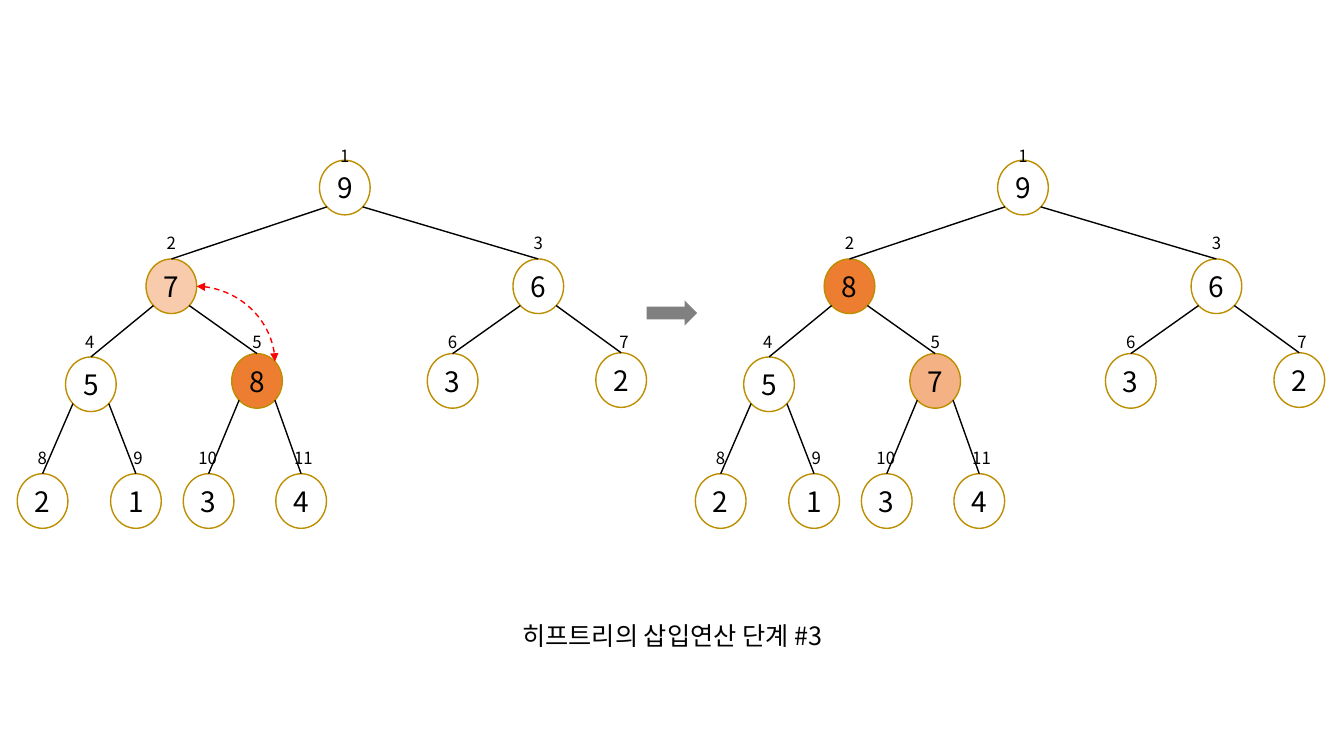
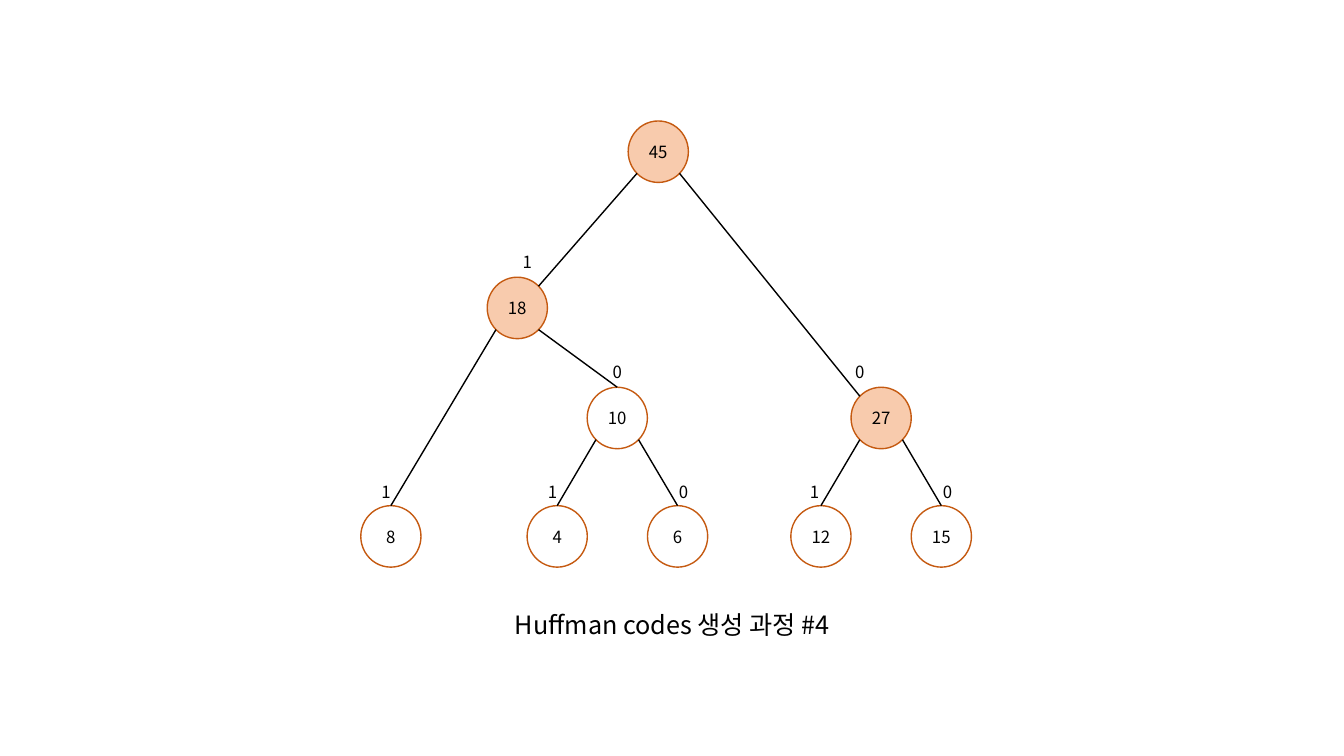
"""Build two slides showing heap insertion and Huffman code trees."""
import math

from lxml import etree
from pptx import Presentation
from pptx.dml.color import RGBColor
from pptx.enum import dml, shapes, text
from pptx.oxml import ns
from pptx.util import Pt

FONT = "Noto Sans CJK KR"
BLACK = RGBColor(0x00, 0x00, 0x00)
WHITE = RGBColor(0xFF, 0xFF, 0xFF)
GRAY = RGBColor(0x80, 0x80, 0x80)
RED = RGBColor(0xFF, 0x00, 0x00)
GOLD = RGBColor(0xBD, 0x8E, 0x00)
BROWN = RGBColor(0xC5, 0x5A, 0x11)
PEACH = RGBColor(0xF8, 0xCB, 0xAD)
APRICOT = RGBColor(0xF4, 0xB1, 0x83)
ORANGE = RGBColor(0xED, 0x7D, 0x31)

TOP, TOP_LEFT, BOTTOM_LEFT, BOTTOM_RIGHT, RIGHT, TOP_RIGHT = 0, 1, 3, 5, 6, 7
LABEL_WIDTH, LABEL_HEIGHT = 33.2, 21.8


def write_text(shape, words, size):
    frame = shape.text_frame
    frame.text = words
    para = frame.paragraphs[0]
    para.alignment = text.PP_ALIGN.CENTER
    for span in para.runs:
        span.font.size = Pt(size)
        span.font.color.rgb = BLACK
        span.font.name = FONT
        etree.SubElement(span.font._element, ns.qn("a:ea"), typeface=FONT)


def link(page, kind, color, start, start_site, end, end_site):
    points = []
    for node, site in ((start, start_site), (end, end_site)):
        angle = math.radians(90 + 45 * site)
        points.append(int(node.left + node.width / 2 * (1 + math.cos(angle))))
        points.append(int(node.top + node.height / 2 * (1 - math.sin(angle))))
    line = page.shapes.add_connector(kind, *points)
    line.begin_connect(start, 0)
    line.end_connect(end, 0)
    line.begin_x, line.begin_y, line.end_x, line.end_y = points
    for tag, site in (("a:stCxn", start_site), ("a:endCxn", end_site)):
        line._element.find(".//" + ns.qn(tag)).set("idx", str(site))
    line.line.color.rgb = color
    line.line.width = Pt(1)
    etree.SubElement(line._element.spPr, ns.qn("a:effectLst"))
    return line


deck = Presentation()
deck.slide_width, deck.slide_height = Pt(960), Pt(540)

pages = []
for caption, top in (("히프트리의 삽입연산 단계 #3", 439.2), ("Huffman codes 생성 과정 #4", 431.3)):
    page = deck.slides.add_slide(deck.slide_layouts[5])
    title = page.shapes.title
    title.left, title.top, title.width, title.height = Pt(266.4), Pt(top), Pt(427.7), Pt(29)
    write_text(title, caption, 18)
    title.text_frame.vertical_anchor = text.MSO_ANCHOR.TOP
    title.text_frame.auto_size = text.MSO_AUTO_SIZE.NONE
    pages.append(page)
heap_page, huffman_page = pages

# Fields: node centre, node top, label centre, label top
HEAP_PLACES = [
    (246.3, 114.5, 246.3, 100.8),
    (122.4, 185, 122.4, 162.7), (384.5, 185, 384.5, 162.7),
    (64.9, 255, 64.1, 233.3), (183.6, 252.6, 183.6, 233.3),
    (323.3, 252.6, 323.3, 233.3), (443.7, 252, 445.7, 233.3),
    (30.4, 338.4, 30.2, 316.1), (97.1, 338.4, 98.6, 316.1),
    (149, 338.4, 148.3, 316.1), (215.1, 338.4, 216.7, 316.1),
]
HEAP_LABELS = [str(number) for number in range(1, 12)]
HEAP_EDGES = [((child - 1) // 2, BOTTOM_LEFT if child % 2 else BOTTOM_RIGHT, child, TOP)
              for child in range(1, 11)]

HUFFMAN_PLACES = [
    (470.2, 86.4, 0, 0),
    (369.5, 198, 376.6, 176.4), (629.4, 276.6, 614.2, 254.9),
    (279.2, 361.2, 275.8, 340.6), (440.9, 276.6, 440.9, 254.9),
    (398, 361.2, 394.6, 340.6), (484, 361.2, 488.2, 340.6),
    (586.4, 361.2, 581.8, 340.6), (672.4, 361.2, 676.8, 340.6),
]
HUFFMAN_EDGES = [
    (0, BOTTOM_LEFT, 1, TOP_RIGHT), (0, BOTTOM_RIGHT, 2, TOP_LEFT),
    (1, BOTTOM_LEFT, 3, TOP), (1, BOTTOM_RIGHT, 4, TOP),
    (4, BOTTOM_LEFT, 5, TOP), (4, BOTTOM_RIGHT, 6, TOP),
    (2, BOTTOM_LEFT, 7, TOP), (2, BOTTOM_RIGHT, 8, TOP),
]

HEAP_STYLE = (shapes.MSO_SHAPE.FLOWCHART_CONNECTOR, 36.2, 39, GOLD, 20)
HUFFMAN_STYLE = (shapes.MSO_SHAPE.OVAL, 43, 43.9, BROWN, 12)
TREES = [
    (heap_page, 0, HEAP_STYLE, HEAP_PLACES, HEAP_LABELS, HEAP_EDGES,
     "9 7 6 5 8 3 2 2 1 3 4".split(), {1: PEACH, 4: ORANGE}),
    (heap_page, 484.4, HEAP_STYLE, HEAP_PLACES, HEAP_LABELS, HEAP_EDGES,
     "9 8 6 5 7 3 2 2 1 3 4".split(), {1: ORANGE, 4: APRICOT}),
    (huffman_page, 0, HUFFMAN_STYLE, HUFFMAN_PLACES, ["", *"10101010"], HUFFMAN_EDGES,
     "45 18 27 8 10 4 6 12 15".split(), {0: PEACH, 1: PEACH, 2: PEACH}),
]

drawn_trees = []
for page, shift, style, places, labels, edges, values, fills in TREES:
    preset, width, height, outline, size = style
    nodes = []
    for index, (center, top, _, _) in enumerate(places):
        node = page.shapes.add_shape(
            preset, Pt(center + shift - width / 2), Pt(top), Pt(width), Pt(height))
        node.shadow.inherit = False
        node.fill.solid()
        node.fill.fore_color.rgb = fills.get(index, WHITE)
        node.line.color.rgb = outline
        node.line.width = Pt(1)
        frame = node.text_frame
        frame.margin_left = frame.margin_right = frame.margin_top = frame.margin_bottom = 0
        frame.word_wrap = False
        frame.vertical_anchor = text.MSO_ANCHOR.MIDDLE
        write_text(node, values[index], size)
        nodes.append(node)
    for parent, parent_site, child, child_site in edges:
        link(page, shapes.MSO_CONNECTOR.STRAIGHT, BLACK,
             nodes[parent], parent_site, nodes[child], child_site)
    for label, (_, _, center, top) in zip(labels, places):
        if label:
            box = page.shapes.add_textbox(
                Pt(center + shift - LABEL_WIDTH / 2), Pt(top), Pt(LABEL_WIDTH), Pt(LABEL_HEIGHT))
            box.text_frame.word_wrap = True
            write_text(box, label, 12)
    drawn_trees.append(nodes)

arrow = heap_page.shapes.add_shape(
    shapes.MSO_SHAPE.RIGHT_ARROW, Pt(462), Pt(214.6), Pt(36), Pt(18))
arrow.shadow.inherit = False
arrow.fill.solid()
arrow.fill.fore_color.rgb = GRAY
arrow.line.fill.background()

before = drawn_trees[0]
swap = link(heap_page, shapes.MSO_CONNECTOR.CURVE, RED, before[1], RIGHT, before[4], TOP_RIGHT)
swap._element.spPr.find(ns.qn("a:prstGeom")).set("prst", "curvedConnector2")
swap.line.dash_style = dml.MSO_LINE.DASH
for end in ("a:headEnd", "a:tailEnd"):
    etree.SubElement(swap.line._get_or_add_ln(), ns.qn(end), type="triangle")

deck.save("out.pptx")
